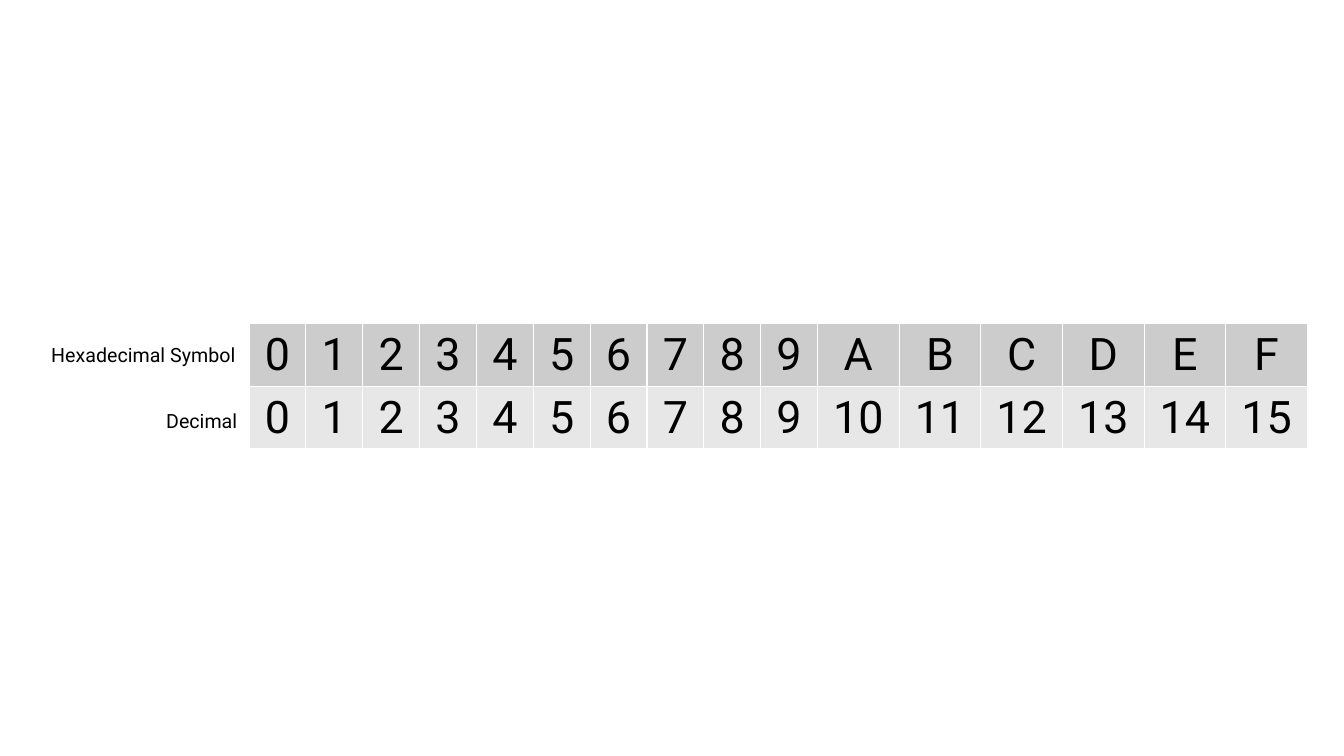
from lxml.etree import SubElement
from pptx import Presentation
from pptx.dml.color import RGBColor
from pptx.enum.text import MSO_ANCHOR, MSO_AUTO_SIZE, PP_ALIGN
from pptx.oxml.ns import qn
from pptx.util import Inches, Pt

BLACK = RGBColor(0x00, 0x00, 0x00)
WHITE = RGBColor(0xFF, 0xFF, 0xFF)
HEX_GRAY = RGBColor(0xCC, 0xCC, 0xCC)
DECIMAL_GRAY = RGBColor(0xE7, 0xE7, 0xE7)
FONT = "Roboto"
BASE = 16
ONE_DIGIT_COUNT = 10
TWO_DIGIT_WIDTH = 0.81


def style_text(paragraph, size):
    """Format the runs of a paragraph in black Roboto."""
    for run in paragraph.runs:
        run.font.name = FONT
        run.font.size = Pt(size)
        run.font.color.rgb = BLACK


def add_borders(cell):
    """Draw thin white lines on all four sides of a cell."""
    properties = cell._tc.get_or_add_tcPr()
    for index, side in enumerate(("a:lnL", "a:lnR", "a:lnT", "a:lnB")):
        line = properties.makeelement(qn(side), {"w": str(Pt(1))})
        fill = SubElement(line, qn("a:solidFill"))
        SubElement(fill, qn("a:srgbClr"), val=str(WHITE))
        properties.insert(index, line)


def fill_cell(cell, symbol, color):
    """Write one centred symbol on a coloured cell."""
    cell.text_frame.text = symbol
    cell.vertical_anchor = MSO_ANCHOR.MIDDLE
    cell.fill.solid()
    cell.fill.fore_color.rgb = color
    paragraph = cell.text_frame.paragraphs[0]
    paragraph.alignment = PP_ALIGN.CENTER
    style_text(paragraph, 32)
    add_borders(cell)


def add_digit_table(slide, left, top, width, height):
    """Place the table pairing hexadecimal symbols with decimal values."""
    digits = slide.shapes.add_table(
        2, BASE, Inches(left), Inches(top), Inches(width), Inches(height)
    ).table
    two_digit_count = BASE - ONE_DIGIT_COUNT
    one_digit_width = (width - two_digit_count * TWO_DIGIT_WIDTH) / ONE_DIGIT_COUNT
    for value, column in enumerate(digits.columns):
        is_one_digit = value < ONE_DIGIT_COUNT
        column.width = Inches(one_digit_width if is_one_digit else TWO_DIGIT_WIDTH)
        fill_cell(digits.cell(0, value), f"{value:X}", HEX_GRAY)
        fill_cell(digits.cell(1, value), str(value), DECIMAL_GRAY)


def add_row_label(slide, name, right, top, width, height):
    """Place a row name whose box ends at the given right edge."""
    label = slide.shapes.add_textbox(
        Inches(right - width), Inches(top), Inches(width), Inches(height)
    )
    label.text_frame.text = name
    label.text_frame.word_wrap = False
    label.text_frame.auto_size = MSO_AUTO_SIZE.SHAPE_TO_FIT_TEXT
    style_text(label.text_frame.paragraphs[0], 14)


def main():
    """Build the hexadecimal digits slide and save it."""
    deck = Presentation()
    deck.slide_width = Inches(13.33)
    deck.slide_height = Inches(7.5)
    slide = deck.slides.add_slide(deck.slide_layouts[6])
    table_left = 2.47
    add_digit_table(slide, table_left, 3.21, 10.5, 1.24)
    add_row_label(slide, "Hexadecimal Symbol", table_left, 3.35, 2.06, 0.34)
    add_row_label(slide, "Decimal", table_left, 4.01, 0.92, 0.34)
    deck.save("out.pptx")


if __name__ == "__main__":
    main()
